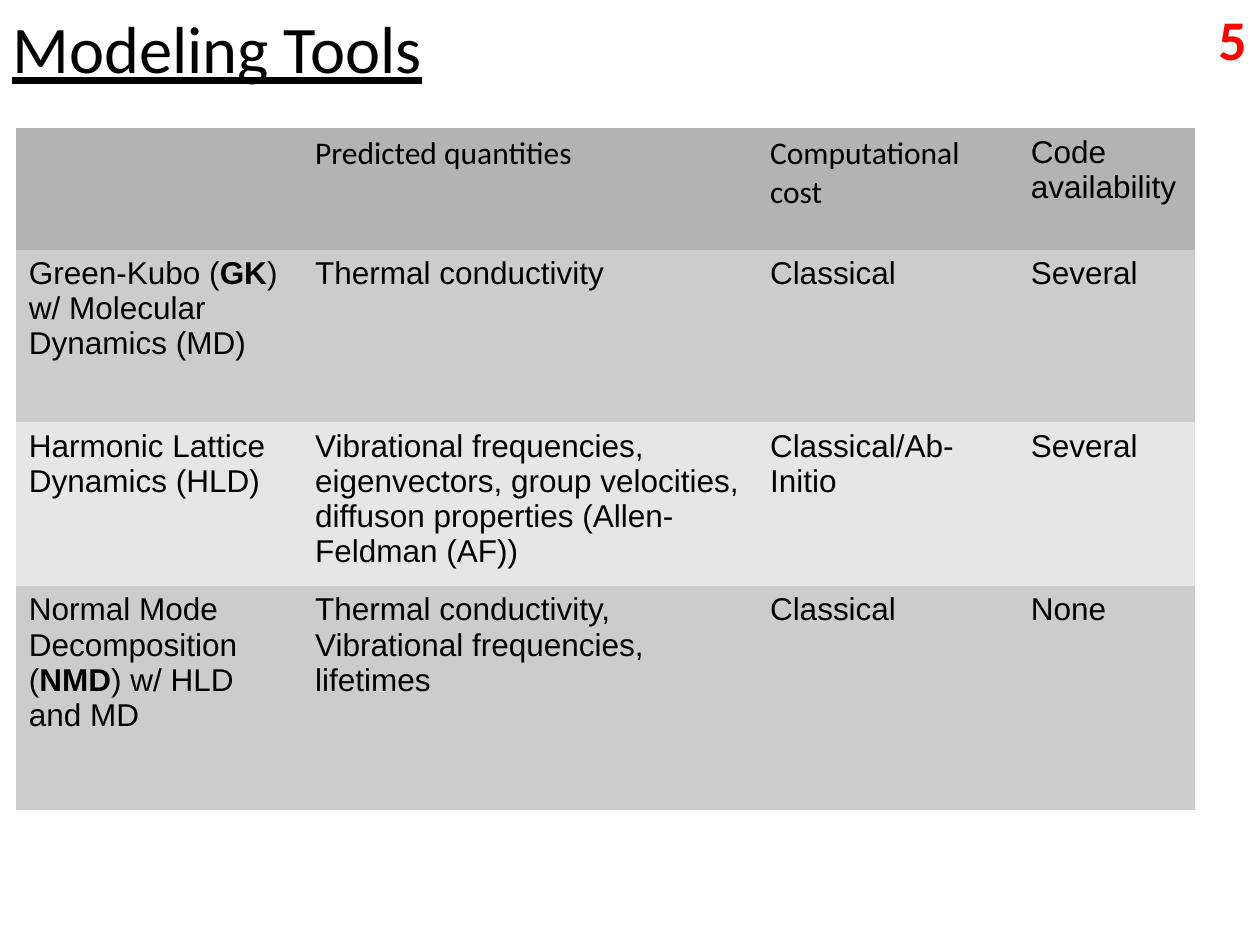
import dataclasses

import pptx
import pptx.dml.color
import pptx.enum.text
import pptx.slide
import pptx.table
import pptx.text.text
import pptx.util

Cm = pptx.util.Cm
Anchor = pptx.enum.text.MSO_ANCHOR


@dataclasses.dataclass
class Style:
    font: str
    size: int
    color: str = "000000"
    bold: bool = False
    line: bool = False


@dataclasses.dataclass
class Label:
    text: str
    left: float
    top: float
    width: float
    height: float
    style: Style
    anchor: Anchor = Anchor.TOP
    wrap: bool = True


@dataclasses.dataclass
class Cell:
    text: str
    strong: str = ""
    font: str = "Arial"


@dataclasses.dataclass
class Row:
    height: float
    fill: str
    cells: list[Cell]


LABELS = [
    Label("Modeling Tools", 0, -0.64, 23.37, 3.18,
          Style("Calibri", 38, line=True), Anchor.MIDDLE),
    Label("5", 24.31, -0.03, 1.07, 1.6,
          Style("Calibri", 32, "FF0000", bold=True), wrap=False),
]

WIDTHS = [5.77, 9.17, 5.26, 3.56]
ROWS = [
    Row(2.44, "B3B3B3", [
        Cell(""),
        Cell("Predicted quantities", font="Calibri"),
        Cell("Computational cost", font="Calibri"),
        Cell("Code availability"),
    ]),
    Row(3.48, "CCCCCC", [
        Cell("Green-Kubo (GK) w/ Molecular Dynamics (MD)", "GK"),
        Cell("Thermal conductivity"),
        Cell("Classical"),
        Cell("Several"),
    ]),
    Row(3.3, "E6E6E6", [
        Cell("Harmonic Lattice Dynamics (HLD)"),
        Cell("Vibrational frequencies, eigenvectors, group velocities, "
             "diffuson properties (Allen-Feldman (AF))"),
        Cell("Classical/Ab-Initio"),
        Cell("Several"),
    ]),
    Row(4.52, "CCCCCC", [
        Cell("Normal Mode Decomposition (NMD) w/ HLD and MD", "NMD"),
        Cell("Thermal conductivity, Vibrational frequencies, lifetimes"),
        Cell("Classical"),
        Cell("None"),
    ]),
]


def paint(code: str) -> pptx.dml.color.RGBColor:
    return pptx.dml.color.RGBColor.from_string(code)


def format_text(para: pptx.text.text._Paragraph, style: Style) -> None:
    for run in para.runs:
        font = run.font
        font.name = style.font
        font.size = pptx.util.Pt(style.size)
        font.bold = style.bold
        font.underline = style.line
        font.color.rgb = paint(style.color)


def draw_label(slide: pptx.slide.Slide, label: Label) -> None:
    box = slide.shapes.add_textbox(Cm(label.left), Cm(label.top),
                                   Cm(label.width), Cm(label.height))
    frame = box.text_frame
    frame.word_wrap = label.wrap
    frame.vertical_anchor = label.anchor
    frame.text = label.text
    format_text(frame.paragraphs[0], label.style)


def fill_cell(spot: pptx.table._Cell, cell: Cell, color: str) -> None:
    spot.fill.solid()
    spot.fill.fore_color.rgb = paint(color)
    para = spot.text_frame.paragraphs[0]
    style = Style(cell.font, 18)
    if not cell.strong:
        para.text = cell.text
        format_text(para, style)
        return
    # Split around the bold acronym
    head, strong, tail = cell.text.partition(cell.strong)
    para.text = head
    for part in (strong, tail):
        para.add_run().text = part
    format_text(para, style)
    para.runs[1].font.bold = True


def draw_table(slide: pptx.slide.Slide, left: float, top: float) -> None:
    high = sum(row.height for row in ROWS)
    table = slide.shapes.add_table(len(ROWS), len(WIDTHS), Cm(left), Cm(top),
                                   Cm(sum(WIDTHS)), Cm(high)).table
    table.first_row = False
    table.horz_banding = False
    # No style borders: the plain "No Style, No Grid" table
    style = table._tbl.tblPr.find(pptx.oxml.ns.qn("a:tableStyleId"))
    style.text = "{2D5ABB26-0587-4C30-8999-92F81FD0307C}"
    for col, width in zip(table.columns, WIDTHS):
        col.width = Cm(width)
    for i, row in enumerate(ROWS):
        table.rows[i].height = Cm(row.height)
        for j, cell in enumerate(row.cells):
            fill_cell(table.cell(i, j), cell, row.fill)


def main() -> None:
    deck = pptx.Presentation()
    deck.slide_width, deck.slide_height = Cm(25.4), Cm(19.05)
    slide = deck.slides.add_slide(deck.slide_layouts[6])

    # Title, table, page number
    title, page = LABELS
    draw_label(slide, title)
    draw_table(slide, 0.33, 2.59)
    draw_label(slide, page)

    deck.save("out.pptx")


if __name__ == "__main__":
    main()
